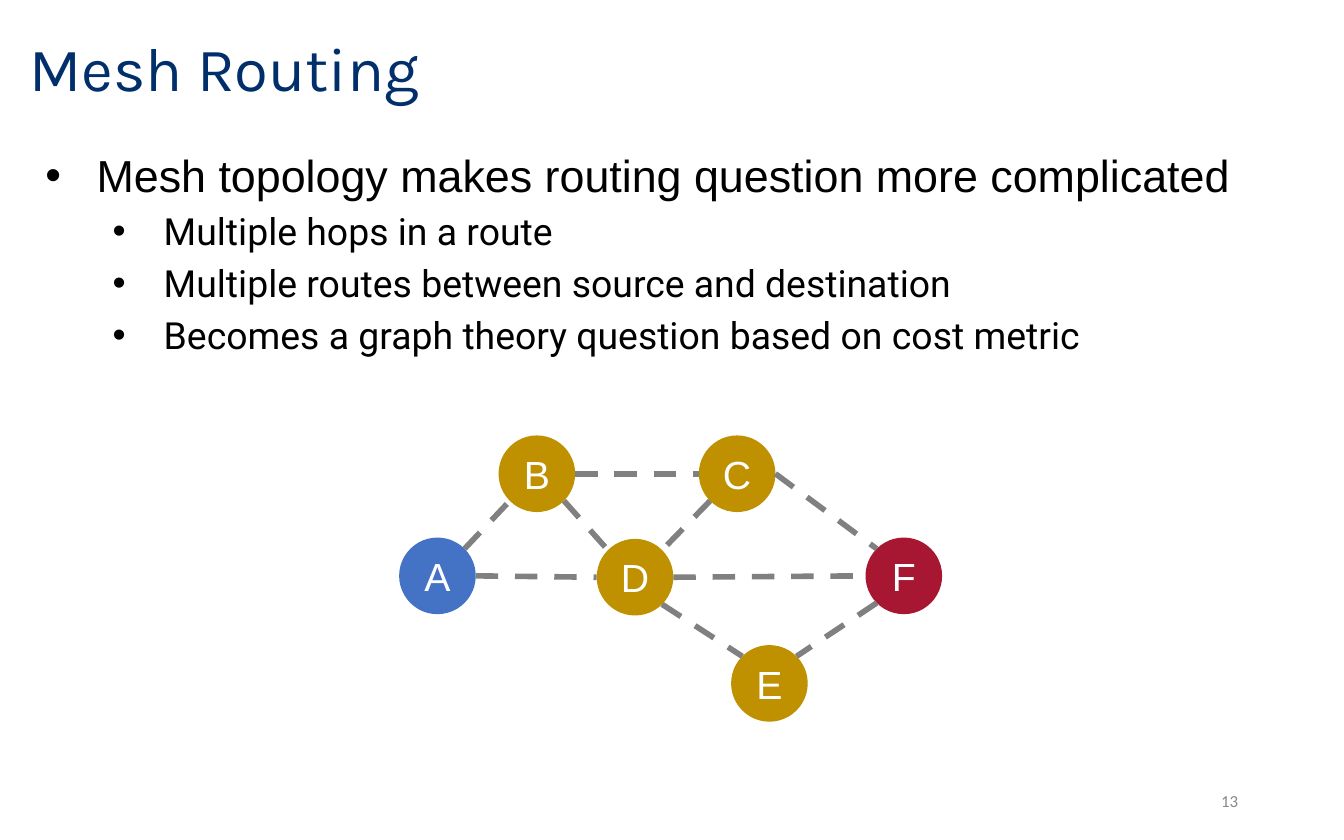
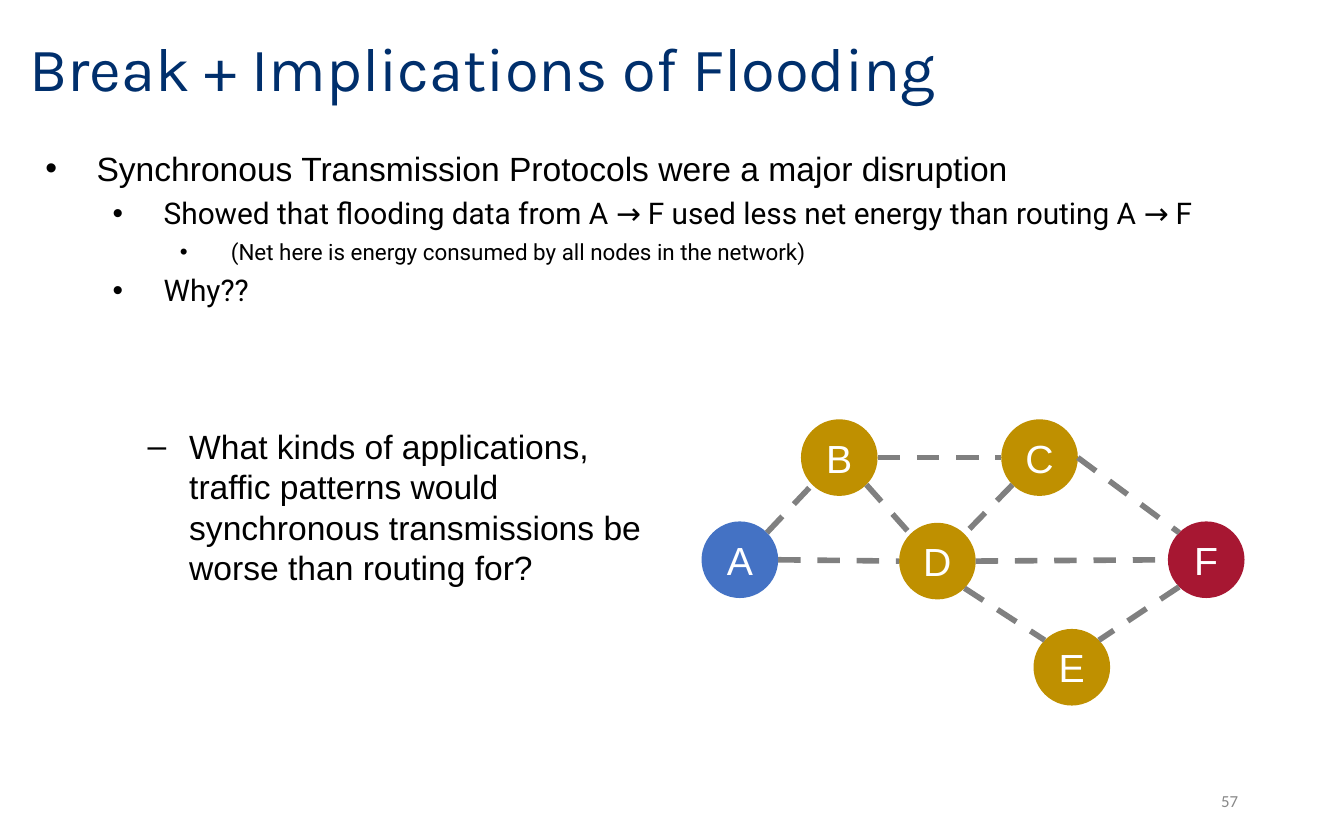
from math import cos, pi, sin

from lxml import etree
from pptx import Presentation
from pptx.dml.color import RGBColor
from pptx.enum.dml import MSO_LINE
from pptx.enum.shapes import MSO_CONNECTOR, MSO_SHAPE
from pptx.enum.text import MSO_ANCHOR, PP_ALIGN
from pptx.oxml.ns import qn
from pptx.util import Inches, Pt

LEFT, CENTER, RIGHT = PP_ALIGN.LEFT, PP_ALIGN.CENTER, PP_ALIGN.RIGHT
TOP, MIDDLE = MSO_ANCHOR.TOP, MSO_ANCHOR.MIDDLE
OVAL, STRAIGHT, DASH = MSO_SHAPE.OVAL, MSO_CONNECTOR.STRAIGHT, MSO_LINE.DASH

COLORS = {"title": "002F6C", "text": "000000", "number": "888888", "label": "FFFFFF",
          "source": "4472C4", "relay": "BF9000", "target": "A71732", "link": "808080"}

WIDTH, HEIGHT = 10, 6.25
TITLE_AREA = (0.12, 0.1, 8.52, 0.86)
BODY_AREA = (0.12, 1.05, 9.77, 4.58)
NUMBER_AREA = (7.06, 5.79, 2.25, 0.33)
QUESTION_AREA = (0.5, 3.12, 4.5, 1.7)

# Bullets are (level, text); sizes are one per level.
SLIDES = [
    {"title": "Mesh Routing", "number": 13, "sizes": (24, 20), "mesh_at": (2.97, 4),
     "bullets": [
         (0, "Mesh topology makes routing question more complicated"),
         (1, "Multiple hops in a route"),
         (1, "Multiple routes between source and destination"),
         (1, "Becomes a graph theory question based on cost metric")]},
    {"title": "Break + Implications of Flooding", "number": 57, "sizes": (18, 16, 12),
     "mesh_at": (5.22, 3.88),
     "bullets": [
         (0, "Synchronous Transmission Protocols were a major disruption"),
         (1, "Showed that flooding data from A → F used less net energy than routing A → F"),
         (2, "(Net here is energy consumed by all nodes in the network)"),
         (1, "Why??")],
     "question": "What kinds of applications, traffic patterns would synchronous "
                 "transmissions be worse than routing for?"},
]

# Node positions are offsets from node A.
NODE_SIZE = 0.57
NODES = {"A": (0, 0, "source"), "B": (0.74, -0.76, "relay"), "C": (2.23, -0.76, "relay"),
         "D": (1.47, 0.01, "relay"), "E": (2.47, 0.8, "relay"), "F": (3.47, 0, "target")}
LINKS = [("A", "NE", "B", "SW"), ("B", "E", "C", "W"), ("B", "SE", "D", "NW"),
         ("C", "SW", "D", "NE"), ("C", "E", "F", "NW"), ("D", "E", "F", "W"),
         ("D", "SE", "E", "NW"), ("F", "SW", "E", "NE"), ("A", "E", "D", "W")]
COMPASS = ("E", "SE", "S", "SW", "W", "NW", "N", "NE")


def color(name):
    return RGBColor.from_string(COLORS[name])


def write(para, text, font="Arial", size=18, ink="text", align=LEFT, before=0, spacing=1.0,
          bullet=None, level=0, indent=0, hanging=0):
    para.alignment, para.level = align, level
    para.space_before, para.line_spacing = Pt(before), spacing
    span = para.add_run()
    span.text = text
    span.font.name, span.font.size = font, Pt(size)
    span.font.color.rgb = color(ink)
    if bullet:
        props = para._p.get_or_add_pPr()
        props.set("marL", str(Inches(indent)))
        props.set("indent", str(-Inches(hanging)))
        etree.SubElement(props, qn("a:buFont")).set("typeface", "Arial")
        etree.SubElement(props, qn("a:buChar")).set("char", bullet)


def add_text_frame(page, area, anchor=TOP):
    frame = page.shapes.add_textbox(*map(Inches, area)).text_frame
    frame.word_wrap, frame.vertical_anchor = True, anchor
    return frame


def add_bullets(page, bullets, sizes):
    frame = add_text_frame(page, BODY_AREA)
    for index, (level, text) in enumerate(bullets):
        para = frame.add_paragraph() if index else frame.paragraphs[0]
        write(para, text, font="Roboto" if level else "Arial", size=sizes[level],
              before=3.8 if level else 7.5, bullet="•", level=level,
              indent=0.5 * (level + 1), hanging=0.38)


def rim_point(origin, node, direction):
    """Return the point on a node's circle in a compass direction."""
    angle = COMPASS.index(direction) * pi / 4
    radius = NODE_SIZE / 2
    x, y, _ = NODES[node]
    return (Inches(origin[0] + x + radius * (1 + cos(angle))),
            Inches(origin[1] + y + radius * (1 + sin(angle))))


def add_mesh(page, origin):
    for name, (x, y, role) in NODES.items():
        node = page.shapes.add_shape(OVAL, Inches(origin[0] + x), Inches(origin[1] + y),
                                     Inches(NODE_SIZE), Inches(NODE_SIZE))
        node.shadow.inherit = False
        node.fill.solid()
        node.fill.fore_color.rgb = color(role)
        node.line.fill.background()
        frame = node.text_frame
        frame.margin_left = frame.margin_right = frame.margin_top = frame.margin_bottom = 0
        frame.vertical_anchor = MIDDLE
        write(frame.paragraphs[0], name, size=21, ink="label", align=CENTER)
    for start, start_side, end, end_side in LINKS:
        link = page.shapes.add_connector(STRAIGHT, *rim_point(origin, start, start_side),
                                         *rim_point(origin, end, end_side))
        link.line.color.rgb = color("link")
        link.line.width, link.line.dash_style = Pt(3), DASH
        etree.SubElement(link._element.spPr, qn("a:effectLst"))


def add_slide(deck, content):
    page = deck.slides.add_slide(deck.slide_layouts[6])
    write(add_text_frame(page, TITLE_AREA, MIDDLE).paragraphs[0], content["title"],
          font="Karla", size=33, ink="title", spacing=0.9)
    add_bullets(page, content["bullets"], content["sizes"])
    write(add_text_frame(page, NUMBER_AREA, MIDDLE).paragraphs[0], str(content["number"]),
          font="Calibri", size=9, ink="number", align=RIGHT)
    add_mesh(page, content["mesh_at"])
    if "question" in content:
        write(add_text_frame(page, QUESTION_AREA).paragraphs[0], content["question"],
              before=3.6, bullet="–", level=1, indent=0.81, hanging=0.31)


def main():
    deck = Presentation()
    deck.slide_width, deck.slide_height = Inches(WIDTH), Inches(HEIGHT)
    for content in SLIDES:
        add_slide(deck, content)
    deck.save("out.pptx")


if __name__ == "__main__":
    main()
